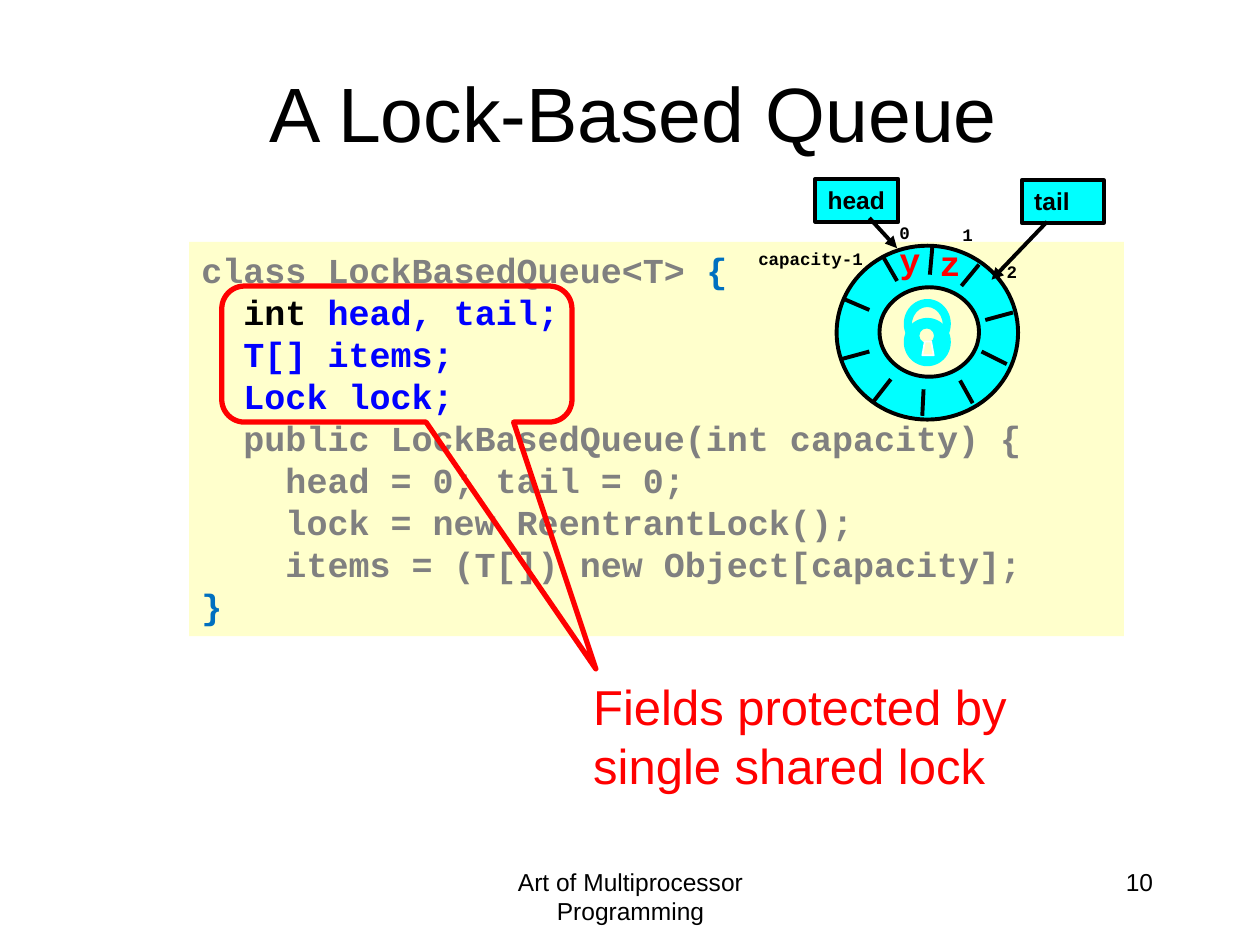
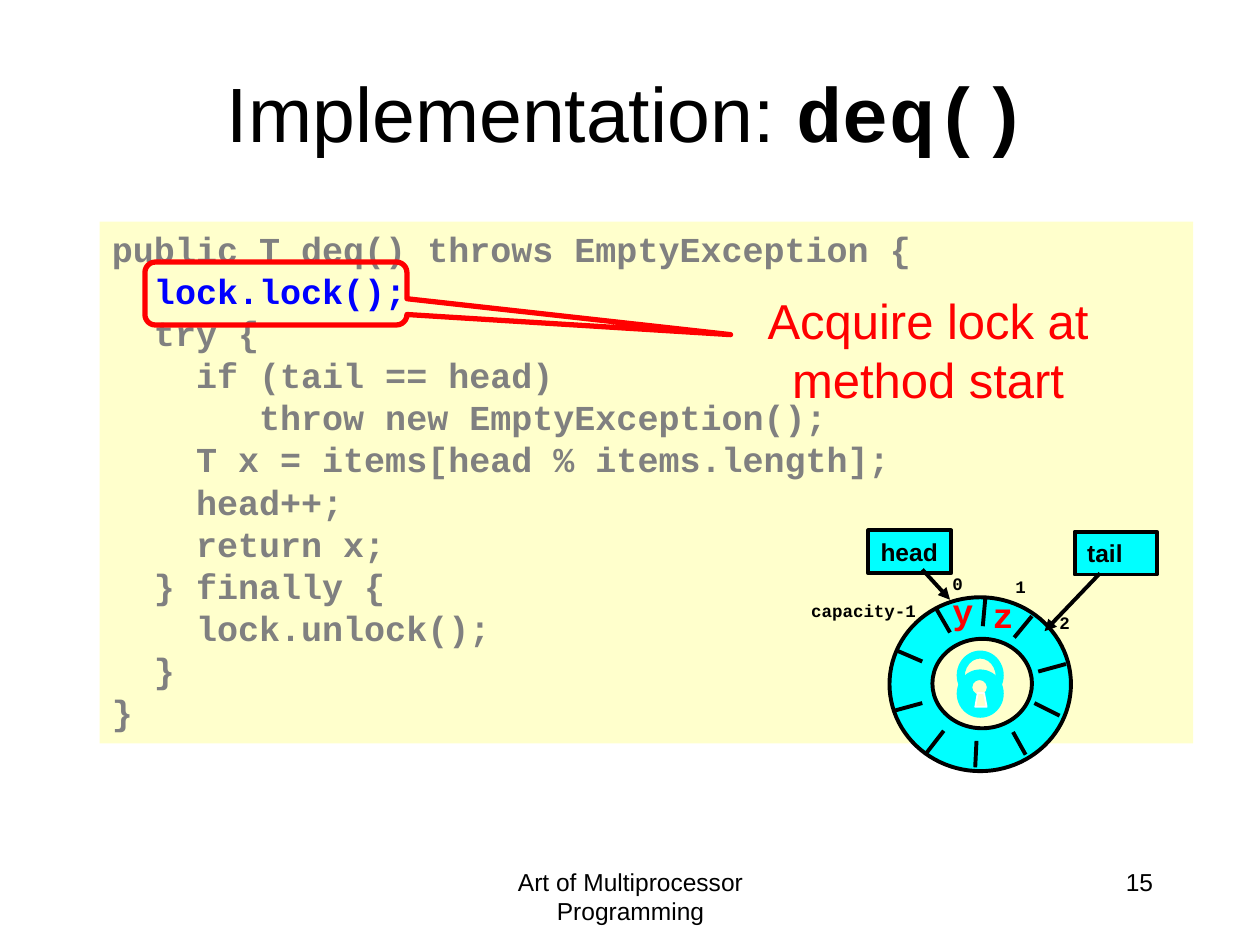
"""Build two slides about a queue guarded by one lock."""
from dataclasses import dataclass

from lxml import etree
from pptx import Presentation
from pptx.dml.color import RGBColor
from pptx.enum.shapes import MSO_CONNECTOR, MSO_SHAPE
from pptx.enum.text import MSO_ANCHOR, MSO_AUTO_SIZE, PP_ALIGN
from pptx.oxml.ns import qn
from pptx.util import Inches, Pt

RECT = MSO_SHAPE.RECTANGLE
OVAL = MSO_SHAPE.OVAL
BUBBLE = MSO_SHAPE.ROUNDED_RECTANGULAR_CALLOUT
LINE = MSO_CONNECTOR.STRAIGHT
LEFT, CENTER, RIGHT = PP_ALIGN.LEFT, PP_ALIGN.CENTER, PP_ALIGN.RIGHT
TOP, MIDDLE = MSO_ANCHOR.TOP, MSO_ANCHOR.MIDDLE
FIXED = MSO_AUTO_SIZE.NONE


@dataclass(frozen=True)
class Theme:
    black: str = "000000"
    white: str = "FFFFFF"
    gray: str = "808080"
    blue: str = "0000FF"
    brace: str = "0070C0"
    red: str = "FF0000"
    cyan: str = "00FFFF"
    cream: str = "FFFFCC"
    sans: str = "Arial"
    mono: str = "Courier New"
    title: int = 44
    note: int = 28
    code: int = 20
    small: int = 14
    tiny: int = 10
    thin: float = 1
    pen: float = 2.25
    bold: float = 3


THEME = Theme()
BLACK = {"color": THEME.black}
BLUE = {"color": THEME.blue}
BRACE = {"color": THEME.brace}

FIELDS = [
    [("class LockBasedQueue<T> ", {}), ("{", BRACE)],
    [("  int ", BLACK), ("head, tail;", BLUE)],
    [("  T[] items;", BLUE)],
    [("  Lock lock;", BLUE)],
    "  public LockBasedQueue(int capacity) {",
    "    head = 0; tail = 0;",
    "    lock = new ReentrantLock();",
    "    items = (T[]) new Object[capacity];",
    [("}", BRACE)],
]

DEQ = [
    "public T deq() throws EmptyException {",
    [("  lock.lock();", BLUE)],
    "  try {",
    "    if (tail == head)",
    "       throw new EmptyException();",
    "    T x = items[head % items.length];",
    "    head++;",
    "    return x;",
    "  } finally {",
    "    lock.unlock();",
    "  }",
    "}",
]

TICKS = [
    (0.46, 1.77, 0.6, 1.59), (1.16, 0.85, 1.3, 0.68),
    (1.35, 1.12, 1.57, 1.06), (0.21, 1.43, 0.43, 1.37),
    (0.22, 0.95, 0.43, 1.04), (1.32, 1.37, 1.52, 1.47),
    (0.54, 0.62, 0.65, 0.81), (0.93, 0.54, 0.91, 0.76),
    (1.15, 1.6, 1.25, 1.78), (0.86, 1.67, 0.85, 1.88),
]

MARKS = [
    ("0", 0.57, 0.29, 0.28), ("1", 1.07, 0.31, 0.28),
    ("capacity-1", -0.55, 0.5, 1.04), ("2", 1.42, 0.6, 0.28),
]

BADGE = [
    (0.71, 0.96, 0.36, 0.38, THEME.cyan), (0.76, 1.01, 0.26, 0.3, THEME.cream),
    (0.71, 1.11, 0.36, 0.37, THEME.cyan), (0.82, 1.18, 0.13, 0.13, THEME.cream),
]


def write(shape, text, size=THEME.small, font=THEME.sans, color=THEME.black,
          bold=False, align=LEFT, anchor=TOP, wrap=True, pad=0.1):
    frame = shape.text_frame
    frame.auto_size = FIXED
    frame.word_wrap = wrap
    frame.vertical_anchor = anchor
    frame.margin_left = Inches(pad)
    lines = [text] if isinstance(text, str) else text
    for i, line in enumerate(lines):
        para = frame.add_paragraph() if i else frame.paragraphs[0]
        para.alignment = align
        parts = [(line, {})] if isinstance(line, str) else line
        for words, change in parts:
            look = {"font": font, "color": color, "bold": bold, **change}
            run = para.add_run()
            run.text = words
            run.font.size = Pt(size)
            run.font.name = look["font"]
            run.font.bold = look["bold"]
            run.font.color.rgb = RGBColor.from_string(look["color"])


class Deck:
    def __init__(self, theme):
        self.theme = theme
        self.show = Presentation()
        self.show.slide_width, self.show.slide_height = Inches(10), Inches(7.5)
        self.slide = None
        self.home = None
        self.shift = (0, 0)

    def place(self, x, y):
        return Inches(x + self.shift[0]), Inches(y + self.shift[1])

    def paint(self, shape, fill, line, width):
        if fill:
            shape.fill.solid()
            shape.fill.fore_color.rgb = RGBColor.from_string(fill)
        else:
            shape.fill.background()
        if line:
            shape.line.color.rgb = RGBColor.from_string(line)
            shape.line.width = Pt(width)
        else:
            shape.line.fill.background()
        shape.shadow.inherit = False

    def start(self, title, box, page, pad=0.1):
        self.slide = self.show.slides.add_slide(self.show.slide_layouts[5])
        self.home = self.slide.shapes
        self.shift = (0, 0)
        head = self.home.title
        head.left, head.top, head.width, head.height = map(Inches, box)
        write(head, title, size=self.theme.title, align=CENTER, anchor=MIDDLE, pad=pad)
        self.text("Art of Multiprocessor Programming", 3.42, 6.83, 3.17, 0.5, align=CENTER)
        self.text(page, 7.17, 6.83, 2.08, 0.5, align=RIGHT)

    def shape(self, kind, x, y, w, h, fill=None, line=None, width=THEME.pen):
        item = self.home.add_shape(kind, *self.place(x, y), Inches(w), Inches(h))
        self.paint(item, fill, line, width)
        return item

    def text(self, words, x, y, w, h, **style):
        box = self.home.add_textbox(*self.place(x, y), Inches(w), Inches(h))
        write(box, words, **style)

    def code(self, lines, x, y, w, h):
        panel = self.shape(RECT, x, y, w, h, self.theme.cream)
        write(panel, lines, size=self.theme.code, font=self.theme.mono,
              color=self.theme.gray, bold=True)

    def bubble(self, x, y, w, h, tip):
        item = self.shape(BUBBLE, x, y, w, h, line=self.theme.red, width=self.theme.bold)
        for i, value in enumerate((*tip, 0.167)):
            item.adjustments[i] = value

    def note(self, words, x, y, w, align=LEFT):
        self.text(words, x, y, w, 1.04, size=self.theme.note,
                  color=self.theme.red, align=align)

    def line(self, x1, y1, x2, y2, arrow=False):
        item = self.home.add_connector(LINE, *self.place(x1, y1), *self.place(x2, y2))
        item.line.color.rgb = RGBColor.from_string(self.theme.black)
        item.line.width = Pt(self.theme.pen)
        props = item.element.spPr
        if arrow:
            etree.SubElement(props.find(qn("a:ln")), qn("a:tailEnd"), type="triangle")
        etree.SubElement(props, qn("a:effectLst"))

    def outline(self, points, fill, line):
        start, *rest = [self.place(*point) for point in points]
        pen = self.home.build_freeform(*start)
        pen.add_line_segments(rest, close=True)
        self.paint(pen.convert_to_shape(), fill, line, self.theme.thin)

    def label(self, words, x, y, w, wrap):
        box = self.shape(RECT, x, y, w, 0.34, self.theme.cyan, self.theme.black)
        write(box, words, bold=True, wrap=wrap)

    def ring(self, x, y):
        look = self.theme
        mono = {"font": look.mono, "bold": True, "wrap": False}
        self.home = self.slide.shapes.add_group_shape().shapes
        self.shift = (x, y)
        self.shape(OVAL, 0.17, 0.53, 1.44, 1.38, look.cyan, look.black)
        self.shape(OVAL, 0.51, 0.86, 0.79, 0.71, look.cream, look.black)
        for tick in TICKS:
            self.line(*tick)
        for words, left, top, wide in MARKS:
            self.text(words, left, top, wide, 0.27, size=look.tiny, **mono)
        self.label("head", 0, 0, 0.66, False)
        self.line(0.43, 0.31, 0.65, 0.55, arrow=True)
        self.label("tail", 1.64, 0.01, 0.65, True)
        self.line(1.84, 0.34, 1.4, 0.8, arrow=True)
        for words, left, top in (("y", 0.57, 0.42), ("z", 0.89, 0.45)):
            self.text(words, left, top, 0.37, 0.43, size=look.code, color=look.red, **mono)
        for left, top, wide, high, fill in BADGE:
            self.shape(OVAL, left, top, wide, high, fill, look.cyan, look.thin)
        self.outline([(0.85, 1.4), (0.87, 1.29), (0.92, 1.29), (0.94, 1.4)],
                     look.cream, look.white)
        self.home = self.slide.shapes
        self.shift = (0, 0)


def main():
    deck = Deck(THEME)

    deck.start("A Lock-Based Queue", (0.5, 0.26, 8.21, 1.26), "10", pad=0.95)
    deck.code(FIELDS, 1.5, 1.92, 7.42, 3.13)
    deck.bubble(1.76, 2.27, 2.78, 1.08, (0.568, 2.314))
    deck.note("Fields protected by single shared lock", 4.61, 5.32, 4.31)
    deck.ring(6.47, 1.42)

    name = ("deq()", {"font": THEME.mono, "bold": True})
    deck.start([[("Implementation: ", {}), name]], (0.73, 0.26, 8.5, 1.25), "15")
    deck.code(DEQ, 0.79, 1.76, 8.68, 4.14)
    deck.bubble(1.15, 2.08, 2.08, 0.5, (1.735, 0.653))
    deck.note("Acquire lock at method start", 5.62, 2.26, 3.49, align=CENTER)
    deck.ring(6.89, 4.21)

    deck.show.save("out.pptx")


if __name__ == "__main__":
    main()
